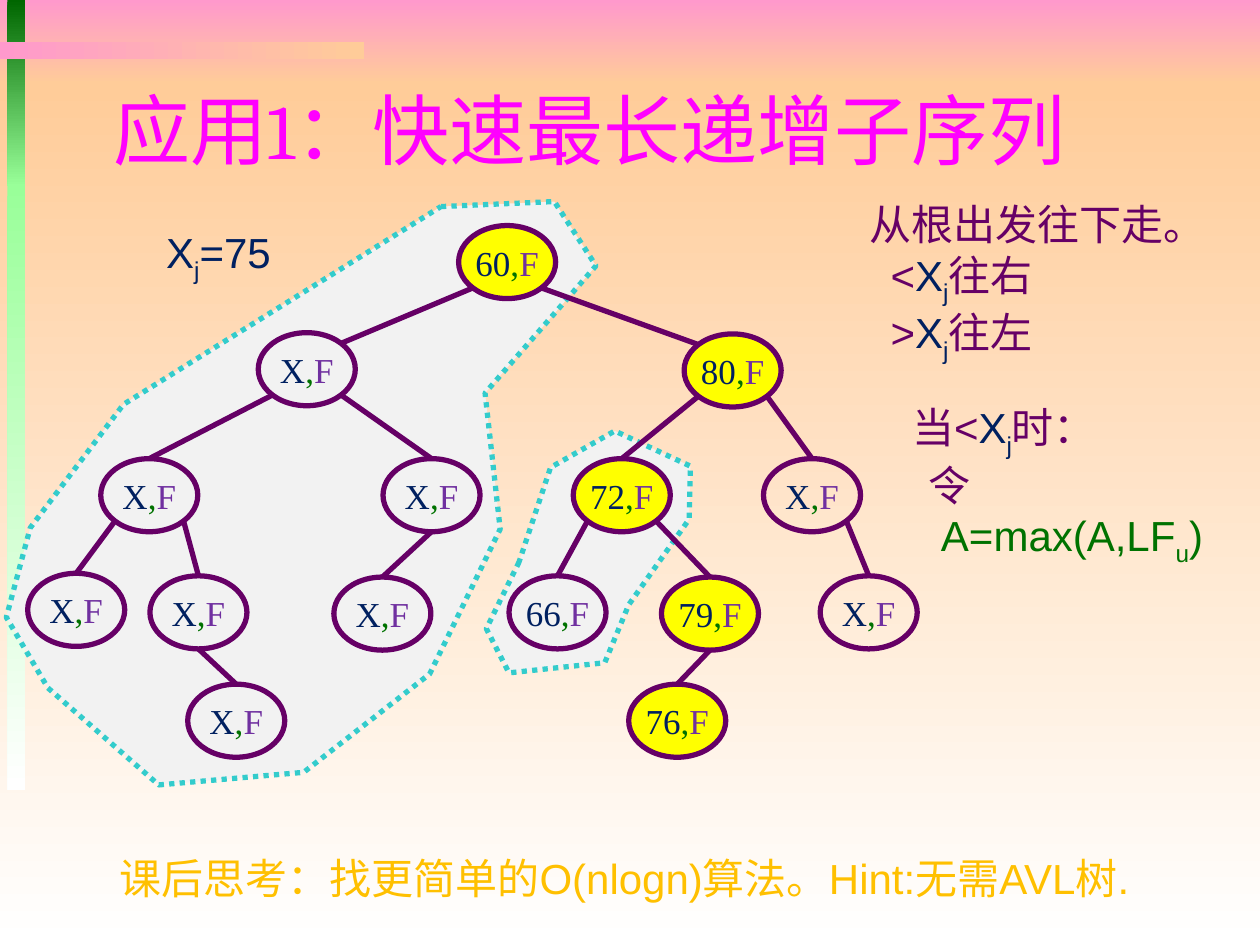
"""Build a slide on a fast longest increasing subsequence using a search tree."""
from itertools import pairwise
from math import sqrt
from typing import NamedTuple

from pptx import Presentation
from pptx import util as u
from pptx.dml.color import RGBColor
from pptx.enum import dml, shapes, text
from pptx.oxml import parse_xml
from pptx.oxml.ns import nsdecls

PINK = RGBColor(0xFF, 0x99, 0xCC)
PEACH = RGBColor(0xFF, 0xCC, 0x99)
WHITE = RGBColor(0xFF, 0xFF, 0xFF)
DARK_GREEN = RGBColor(0x00, 0x66, 0x00)
LIGHT_GREEN = RGBColor(0x99, 0xFF, 0x99)
MAGENTA = RGBColor(0xFF, 0x00, 0xFF)
GOLD = RGBColor(0xFF, 0xC0, 0x00)
YELLOW = RGBColor(0xFF, 0xFF, 0x00)
PLUM = RGBColor(0x66, 0x00, 0x66)
NAVY = RGBColor(0x00, 0x20, 0x60)
GREEN = RGBColor(0x00, 0x72, 0x00)
VIOLET = RGBColor(0x70, 0x30, 0xA0)
TEAL = RGBColor(0x33, 0xCC, 0xCC)
GREY = RGBColor(0xF2, 0xF2, 0xF2)

NODE_W, NODE_H = 0.77, 0.58
DIAGONAL = sqrt(0.5)
SITES = {
    "top": (0, -1),
    "bottom": (0, 1),
    "top left": (-DIAGONAL, -DIAGONAL),
    "top right": (DIAGONAL, -DIAGONAL),
    "bottom left": (-DIAGONAL, DIAGONAL),
    "bottom right": (DIAGONAL, DIAGONAL),
}


class Band(NamedTuple):
    left: float
    top: float
    width: float
    height: float
    start: RGBColor
    end: RGBColor
    angle: int = 270


class Node(NamedTuple):
    left: float
    top: float
    key: str = "X"
    visited: bool = False


class Edge(NamedTuple):
    parent: str
    exit: str
    child: str
    entry: str = "top"


class Run(NamedTuple):
    text: str
    color: RGBColor
    subscript: bool = False


class Para(NamedTuple):
    runs: list[Run]
    indent: float = 0


class Label(NamedTuple):
    left: float
    top: float
    width: float
    height: float
    paras: list[Para]
    size: int = 24
    font: str = "Arial"
    anchor: text.MSO_ANCHOR = text.MSO_ANCHOR.TOP


XJ = [Run("X", NAVY), Run("j", NAVY, True)]

BANDS = [
    Band(0, 0, 10, 0.67, PINK, PEACH),
    Band(0, 0.67, 10, 6.83, PEACH, WHITE),
    Band(0.06, 0, 0.14, 1.48, DARK_GREEN, LIGHT_GREEN),
    Band(0.06, 1.46, 0.14, 4.81, LIGHT_GREEN, WHITE),
    Band(0, 0.33, 2.89, 0.14, PINK, PEACH, 0),
]

REGIONS = [
    [(4.12, 4.46), (3.86, 4.99), (4.04, 5.34), (4.8, 5.26), (4.99, 4.8),
     (5.47, 4.12), (5.48, 3.7), (4.88, 3.42), (4.37, 3.71)],
    [(3.5, 1.64), (4.4, 1.6), (4.73, 2.11), (3.85, 3.12), (3.97, 4.2), (3.41, 5.35),
     (2.41, 6.13), (1.26, 6.23), (0.38, 5.46), (0.05, 4.9), (0.24, 4.19), (0.98, 3.21)],
]

NODES = {
    "root": Node(3.64, 1.79, "60", True),
    "L": Node(2.05, 2.64),
    "LL": Node(0.8, 3.64),
    "LLL": Node(0.22, 4.55),
    "LLR": Node(1.19, 4.57),
    "LLRR": Node(1.49, 5.43),
    "LR": Node(3.04, 3.64),
    "LRL": Node(2.65, 4.58),
    "R": Node(5.43, 2.65, "80", True),
    "RL": Node(4.55, 3.64, "72", True),
    "RLL": Node(4.04, 4.57, "66"),
    "RLR": Node(5.25, 4.58, "79", True),
    "RLRL": Node(4.99, 5.43, "76", True),
    "RR": Node(6.06, 3.64),
    "RRR": Node(6.51, 4.57),
}

EDGES = [
    Edge("root", "bottom left", "L", "top right"),
    Edge("root", "bottom right", "R", "top left"),
    Edge("L", "bottom left", "LL"),
    Edge("L", "bottom right", "LR"),
    Edge("LL", "bottom left", "LLL"),
    Edge("LL", "bottom right", "LLR"),
    Edge("LLR", "bottom", "LLRR"),
    Edge("LR", "bottom", "LRL"),
    Edge("R", "bottom left", "RL"),
    Edge("R", "bottom right", "RR"),
    Edge("RL", "bottom left", "RLL"),
    Edge("RL", "bottom right", "RLR"),
    Edge("RLR", "bottom", "RLRL"),
    Edge("RR", "bottom right", "RRR"),
]

LABELS = [
    Label(0.8, 0.57, 8.5, 0.9, [Para([Run("应用1：快速最长递增子序列", MAGENTA)])],
          44, "Cambria", text.MSO_ANCHOR.MIDDLE),
    Label(0.85, 6.72, 8.62, 0.5,
          [Para([Run("课后思考：找更简单的O(nlogn)算法。Hint:无需AVL树.", GOLD)])]),
    Label(6.8, 1.53, 2.93, 1.31, [
        Para([Run("从根出发往下走。", PLUM)]),
        Para([Run("<", PLUM), *XJ, Run("往右", PLUM)], 0.17),
        Para([Run(">", PLUM), *XJ, Run("往左", PLUM)], 0.17),
    ]),
    Label(7.14, 3.14, 2.76, 1.31, [
        Para([Run("当<", PLUM), *XJ, Run("时：", PLUM)]),
        Para([Run("令", PLUM)], 0.13),
        Para([Run("A=max(A,LF", GREEN), Run("u", GREEN, True), Run(")", GREEN)], 0.23),
    ]),
    Label(1.22, 1.75, 1.27, 0.5, [Para([*XJ, Run("=75", NAVY)])]),
]


def add_runs(p, runs: list[Run], size: int, font: str) -> None:
    for run in runs:
        r = p.add_run()
        r.text = run.text
        r.font.size, r.font.name = u.Pt(size), font
        r.font.color.rgb = run.color
        if run.subscript:
            r._r.get_or_add_rPr().set("baseline", "-25000")


def add_band(s, band: Band) -> None:
    sp = s.shapes.add_shape(shapes.MSO_SHAPE.RECTANGLE, *map(u.Inches, band[:4]))
    sp.shadow.inherit = False
    sp.line.fill.background()
    sp.fill.gradient()
    sp.fill.gradient_angle = band.angle
    for stop, color in zip(sp.fill.gradient_stops, (band.start, band.end)):
        stop.color.rgb = color


def add_region(s, points: list[tuple[float, float]]) -> None:
    start, *rest = [(u.Inches(x), u.Inches(y)) for x, y in points]
    builder = s.shapes.build_freeform(*start)
    builder.add_line_segments(rest, close=True)
    sp = builder.convert_to_shape()
    sp.shadow.inherit = False
    sp.fill.solid()
    sp.fill.fore_color.rgb = GREY
    sp.line.color.rgb, sp.line.width = TEAL, u.Pt(3)
    sp.line.dash_style = dml.MSO_LINE.ROUND_DOT


def add_node(s, node: Node) -> None:
    box = map(u.Inches, (node.left, node.top, NODE_W, NODE_H))
    sp = s.shapes.add_shape(shapes.MSO_SHAPE.OVAL, *box)
    sp.shadow.inherit = False
    if node.visited:
        sp.fill.solid()
        sp.fill.fore_color.rgb = YELLOW
    else:
        sp.fill.background()
    sp.line.color.rgb, sp.line.width = PLUM, u.Pt(3)
    tf = sp.text_frame
    tf.margin_left = tf.margin_right = tf.margin_top = tf.margin_bottom = 0
    tf.vertical_anchor = text.MSO_ANCHOR.MIDDLE
    p = tf.paragraphs[0]
    p.alignment = text.PP_ALIGN.CENTER
    runs = [Run(node.key, NAVY), Run(",", GREEN), Run("F", VIOLET)]
    add_runs(p, runs, 20, "Times New Roman")


def site(node: Node, name: str) -> tuple[u.Length, u.Length]:
    dx, dy = SITES[name]
    return (u.Inches(node.left + NODE_W / 2 * (1 + dx)),
            u.Inches(node.top + NODE_H / 2 * (1 + dy)))


def add_edge(s, edge: Edge) -> None:
    ends = site(NODES[edge.parent], edge.exit) + site(NODES[edge.child], edge.entry)
    line = s.shapes.add_connector(shapes.MSO_CONNECTOR.STRAIGHT, *ends)
    line.line.color.rgb, line.line.width = PLUM, u.Pt(3)
    line._element.spPr.append(parse_xml(f"<a:effectLst {nsdecls('a')}/>"))


def add_label(s, label: Label) -> None:
    tf = s.shapes.add_textbox(*map(u.Inches, label[:4])).text_frame
    tf.word_wrap = True
    tf.vertical_anchor = label.anchor
    for i, para in enumerate(label.paras):
        p = tf.add_paragraph() if i else tf.paragraphs[0]
        if para.indent:
            p._p.get_or_add_pPr().set("marL", str(u.Inches(para.indent)))
        add_runs(p, para.runs, label.size, label.font)


def main() -> None:
    prs = Presentation()
    prs.slide_width, prs.slide_height = u.Inches(10), u.Inches(7.5)
    s = prs.slides.add_slide(prs.slide_layouts[6])
    for draw, items in ((add_band, BANDS), (add_region, REGIONS), (add_node, NODES.values()),
                        (add_edge, EDGES), (add_label, LABELS)):
        for item in items:
            draw(s, item)
    prs.save("out.pptx")


if __name__ == "__main__":
    main()
